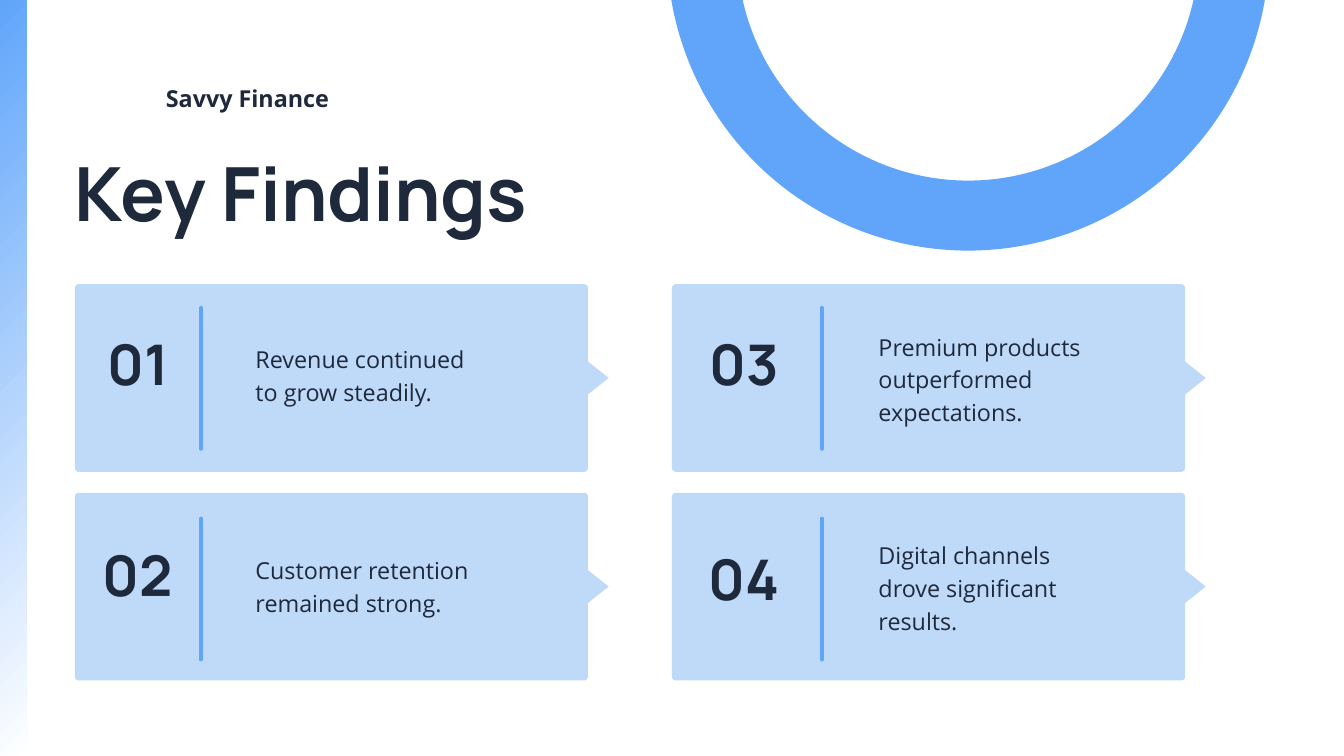
from dataclasses import dataclass

from lxml.etree import SubElement
from pptx import Presentation
from pptx.dml.color import RGBColor as RGB
from pptx.enum.shapes import MSO_CONNECTOR as LINE, MSO_SHAPE as SHAPE
from pptx.enum.text import MSO_ANCHOR as ANCHOR, MSO_AUTO_SIZE as FIT, PP_ALIGN as ALIGN
from pptx.oxml.ns import qn
from pptx.util import Pt

BRAND = "Savvy Finance"
TITLE = "Key Findings"
# column, row, number, number top, text, text box (top, width, height)
CARDS = [
    (0, 0, "01", 489, "Revenue continued to grow steadily.", (487, 339, 90)),
    (0, 1, "02", 790, "Customer retention remained strong.", (788, 339, 90)),
    (1, 0, "03", 489, "Premium products outperformed expectations.", (469, 374, 136)),
    (1, 1, "04", 795, "Digital channels drove significant results.", (767, 339, 136)),
]
# left edges of card, number, rule and text in each column
COLS = [(107, 137, 287, 365), (960, 1003, 1174, 1255)]
# tops of card and rule in each row
ROWS = [(406, 440), (704, 741)]
CARD = (733, 268)
TIP = (59, 47)
RULE = 201

PX = 9525
WIDE, HIGH = 1920, 1080


@dataclass
class Theme:
    ink: RGB = RGB(0x1E, 0x29, 0x3B)
    blue: RGB = RGB(0x60, 0xA5, 0xFA)
    pale: RGB = RGB(0xBF, 0xD9, 0xF9)
    white: RGB = RGB(0xFF, 0xFF, 0xFF)
    head: str = "Manrope"
    body: str = "Open Sans"
    title: int = 80
    number: int = 60
    text: int = 25
    rule: float = 4.5
    ring: int = 75


T = Theme()


def px(*nums):
    return [round(n * PX) for n in nums]


def write(shape, words, face, size, lead, bold=True, align=ALIGN.LEFT):
    """Fill a text shape with one run at an exact line pitch."""
    frame = shape.text_frame
    frame.word_wrap = True
    frame.auto_size = FIT.NONE
    frame.vertical_anchor = ANCHOR.TOP
    frame.margin_left = frame.margin_right = 0
    frame.margin_top = frame.margin_bottom = 0
    para = frame.paragraphs[0]
    para.alignment = align
    para.line_spacing = Pt(lead)
    run = para.add_run()
    run.text = words
    font = run.font
    font.name, font.size, font.bold = face, Pt(size), bold
    font.color.rgb = T.ink


def label(slide, box, *args, **opts):
    write(slide.shapes.add_textbox(*px(*box)), *args, **opts)


def block(slide, kind, box, fill=None):
    shape = slide.shapes.add_shape(kind, *px(*box))
    shape.shadow.inherit = False
    shape.line.fill.background()
    if fill is not None:
        shape.fill.solid()
        shape.fill.fore_color.rgb = fill
    return shape


def rule(slide, x, y):
    """Draw the upright divider with round ends."""
    bar = slide.shapes.add_connector(LINE.STRAIGHT, *px(x, y, x, y + RULE))
    bar.line.color.rgb = T.blue
    bar.line.width = Pt(T.rule)
    props = bar._element.spPr
    props.find(qn("a:ln")).set("cap", "rnd")
    SubElement(props, qn("a:effectLst"))


def card(slide, col, row, num, top, words, box):
    left, num_x, rule_x, text_x = COLS[col]
    card_y, rule_y = ROWS[row]
    wide, high = CARD
    tip_w, tip_h = TIP
    back = block(slide, SHAPE.ROUNDED_RECTANGLE, (left, card_y, wide, high), T.pale)
    back.adjustments[0] = 0.02
    tip = (left + wide - tip_w / 2, card_y + (high - tip_h) / 2, tip_w, tip_h)
    block(slide, SHAPE.DIAMOND, tip, T.pale)
    label(slide, (num_x, top, 120, 88), num, T.head, T.number, 58.8, align=ALIGN.CENTER)
    text_y, text_w, text_h = box
    label(slide, (text_x, text_y, text_w, text_h), words, T.body, T.text, 35, bold=False)
    rule(slide, rule_x, rule_y)


def main():
    deck = Presentation()
    deck.slide_width, deck.slide_height = px(WIDE, HIGH)
    slide = deck.slides.add_slide(deck.slide_layouts[5])

    title = slide.shapes.title
    title.left, title.top, title.width, title.height = px(107, 233, 733, 118)
    write(title, TITLE, T.head, T.title, 78.4)

    side = block(slide, SHAPE.RECTANGLE, (0, 0, 38, HIGH))
    side.fill.gradient()
    side.fill.gradient_angle = 315
    for stop, tint, at in zip(side.fill.gradient_stops, (T.blue, T.white), (0, 1)):
        stop.color.rgb = tint
        stop.position = at

    label(slide, (237, 113, 418, 44), BRAND, T.body, T.text, 35)
    for item in CARDS:
        card(slide, *item)

    ring = block(slide, SHAPE.OVAL, (1003, -452, 760, 760))
    ring.fill.background()
    ring.line.color.rgb = T.blue
    ring.line.width = Pt(T.ring)

    deck.save("out.pptx")


if __name__ == "__main__":
    main()
